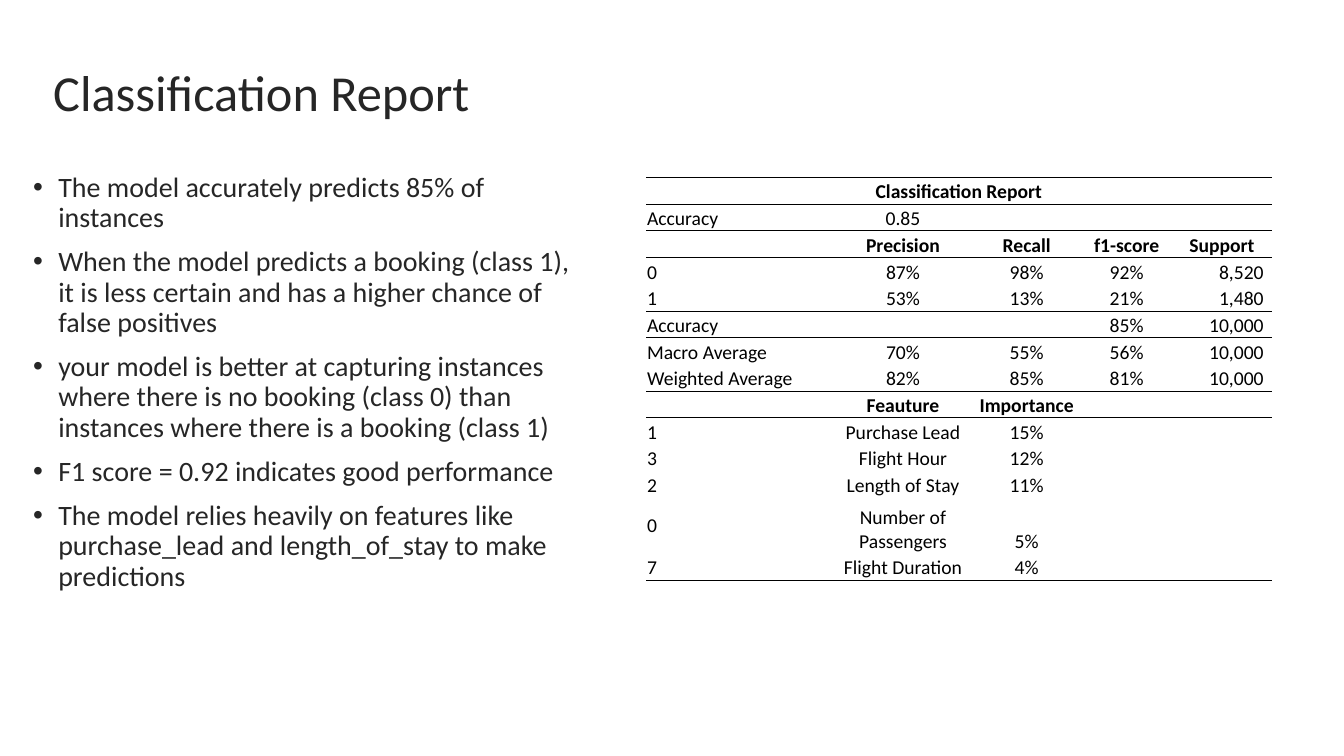
from dataclasses import dataclass
from typing import Any

from lxml.etree import SubElement
from pptx import Presentation
from pptx.dml.color import RGBColor as RGB
from pptx.enum.text import MSO_ANCHOR as ANCHOR, PP_ALIGN as ALIGN
from pptx.oxml.ns import qn
from pptx.util import Emu, Pt

SCALE = 914400 // 200


def px(n: int) -> Emu:
    return Emu(n * SCALE)


@dataclass(frozen=True)
class Theme:
    font: str = "Calibri"
    ink: str = "262626"
    black: str = "000000"
    title: int = 36
    body: int = 20
    cell: int = 14
    rule: float = 0.5
    plain_table: str = "{2D5ABB26-0587-4C30-8999-92F81FD0307C}"


@dataclass(frozen=True)
class Box:
    left: int
    top: int
    width: int
    height: int

    def emu(self) -> tuple[Emu, ...]:
        return tuple(px(n) for n in (self.left, self.top, self.width, self.height))


@dataclass(frozen=True)
class Row:
    cells: tuple[str, ...]
    bold: bool = False
    top: bool = False
    bottom: bool = False
    height: int = 53
    label_anchor: ANCHOR = ANCHOR.BOTTOM


THEME = Theme()
TITLE_BOX = Box(86, 44, 2300, 290)
BULLET_BOX = Box(46, 334, 1142, 952)
TABLE_BOX = Box(1282, 352, 1242, 799)
COLUMNS = (373, 274, 217, 180, 198)
SUPPORT = len(COLUMNS) - 1

BULLETS = (
    "The model accurately predicts 85% of instances",
    "When the model predicts a booking (class 1), it is less certain and has a higher chance of false positives",
    "your model is better at capturing instances where there is no booking (class 0) than instances where there is a booking (class 1)",
    "F1 score = 0.92 indicates good performance",
    "The model relies heavily on features like purchase_lead and length_of_stay to make predictions",
)
ROWS = (
    Row(("Classification Report", "", "", "", ""), bold=True, top=True, bottom=True),
    Row(("Accuracy", "0.85", "", "", ""), top=True, bottom=True),
    Row(("", "Precision", "Recall", "f1-score", "Support"), bold=True, top=True),
    Row(("0", "87%", "98%", "92%", "8,520")),
    Row(("1", "53%", "13%", "21%", "1,480"), bottom=True),
    Row(("Accuracy", "", "", "85%", "10,000"), top=True),
    Row(("Macro Average", "70%", "55%", "56%", "10,000")),
    Row(("Weighted Average", "82%", "85%", "81%", "10,000"), bottom=True),
    Row(("", "Feauture", "Importance", "", ""), bold=True, top=True),
    Row(("1", "Purchase Lead", "15%", "", "")),
    Row(("3", "Flight Hour", "12%", "", "")),
    Row(("2", "Length of Stay", "11%", "", "")),
    Row(("0", "Number of Passengers", "5%", "", ""), height=110, label_anchor=ANCHOR.MIDDLE),
    Row(("7", "Flight Duration", "4%", "", ""), bottom=True),
)


def apply(obj: Any, values: dict[str, Any]) -> None:
    for name, value in values.items():
        setattr(obj, name, value)


def add_run(p: Any, text: str, size: int, color: str, bold: bool = False) -> None:
    r = p.add_run()
    r.text = text
    apply(r.font, {"name": THEME.font, "size": Pt(size), "bold": bold})
    r.font.color.rgb = RGB.from_string(color)


def add_text(slide: Any, box: Box, lines: tuple[str, ...], size: int,
             anchor: ANCHOR, bulleted: bool = False) -> None:
    tf = slide.shapes.add_textbox(*box.emu()).text_frame
    apply(tf, {"word_wrap": True, "vertical_anchor": anchor})
    for i, line in enumerate(lines):
        p = tf.add_paragraph() if i else tf.paragraphs[0]
        p.line_spacing = 0.9
        if bulleted:
            p.space_before = Pt(10)
            pPr = p._p.get_or_add_pPr()
            pPr.set("marL", str(px(50)))
            pPr.set("indent", str(-px(50)))
            SubElement(pPr, qn("a:buFont"), typeface="Arial")
            SubElement(pPr, qn("a:buChar"), char="•")
        add_run(p, line, size, THEME.ink)


def add_rule(cell: Any, tag: str) -> None:
    ln = SubElement(cell._tc.get_or_add_tcPr(), qn(tag), w=str(Pt(THEME.rule)))
    fill = SubElement(ln, qn("a:solidFill"))
    SubElement(fill, qn("a:srgbClr"), val=THEME.black)


def fill_cell(cell: Any, row: Row, col: int, text: str, align: ALIGN) -> None:
    right = 16 if align == ALIGN.RIGHT else 2
    apply(cell, {
        "margin_left": px(2), "margin_right": px(right),
        "margin_top": px(2), "margin_bottom": px(0),
        "vertical_anchor": ANCHOR.BOTTOM if col else row.label_anchor,
    })
    for shown, tag in ((row.top, "a:lnT"), (row.bottom, "a:lnB")):
        if shown:
            add_rule(cell, tag)
    cell.fill.background()
    p = cell.text_frame.paragraphs[0]
    p.alignment = align
    if text:
        add_run(p, text, THEME.cell, THEME.black, row.bold)
    else:
        SubElement(p._p, qn("a:endParaRPr"), sz=str(THEME.cell * 100))


def cell_align(row: Row, col: int) -> ALIGN:
    if row.bold:
        return ALIGN.CENTER
    if col == 0:
        return ALIGN.LEFT
    return ALIGN.RIGHT if col == SUPPORT else ALIGN.CENTER


def add_report(slide: Any, box: Box, rows: tuple[Row, ...]) -> None:
    frame = slide.shapes.add_table(len(rows), len(COLUMNS), *box.emu())
    frame._element.xpath(".//a:tableStyleId")[0].text = THEME.plain_table
    table = frame.table
    apply(table, {"first_row": False, "horz_banding": False})
    for column, width in zip(table.columns, COLUMNS):
        column.width = px(width)
    for i, row in enumerate(rows):
        table.rows[i].height = px(row.height)
        for col, text in enumerate(row.cells):
            fill_cell(table.cell(i, col), row, col, text, cell_align(row, col))
    table.cell(0, 0).merge(table.cell(0, SUPPORT))


def main() -> None:
    prs = Presentation()
    apply(prs, {"slide_width": px(2667), "slide_height": px(1500)})
    slide = prs.slides.add_slide(prs.slide_layouts[6])
    add_text(slide, TITLE_BOX, ("Classification Report",), THEME.title, ANCHOR.MIDDLE)
    add_report(slide, TABLE_BOX, ROWS)
    add_text(slide, BULLET_BOX, BULLETS, THEME.body, ANCHOR.TOP, bulleted=True)
    prs.save("out.pptx")


if __name__ == "__main__":
    main()
